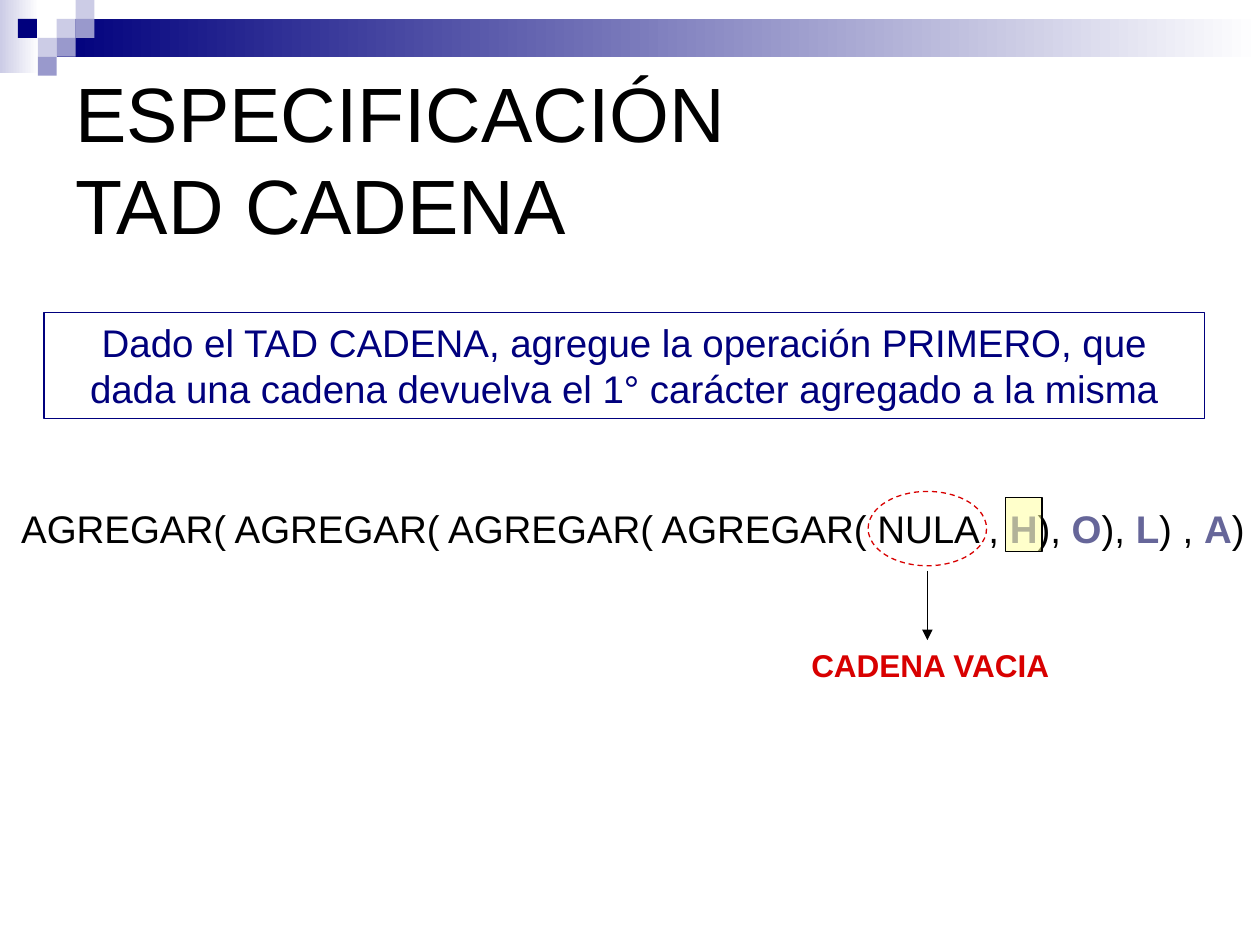
"""Build the slide that specifies the PRIMERO operation of the TAD CADENA."""
import dataclasses
from typing import Optional

import pptx
import pptx.dml.color
import pptx.enum.dml
import pptx.enum.shapes
import pptx.enum.text
import pptx.oxml.ns
import pptx.util
from lxml import etree

Inches = pptx.util.Inches
Shapes = pptx.enum.shapes.MSO_SHAPE
Align = pptx.enum.text.PP_ALIGN
AutoSize = pptx.enum.text.MSO_AUTO_SIZE

BLACK, WHITE, NAVY, RED = "000000", "FFFFFF", "00007D", "D80000"
PALE, LILAC, SLATE, YELLOW = "CCCCE6", "9999CC", "666699", "FFFF99"
TILE = 0.15


@dataclasses.dataclass
class Box:
    left: float
    top: float
    width: float
    height: float
    fill: Optional[str] = None
    fade_to: Optional[str] = None
    line: Optional[str] = None
    preset: Shapes = Shapes.RECTANGLE

    def place(self):
        return [Inches(n) for n in (self.left, self.top, self.width, self.height)]


@dataclasses.dataclass
class Span:
    text: str
    color: str = BLACK
    bold: bool = False


def rgb(color: str):
    return pptx.dml.color.RGBColor.from_string(color)


def draw_box(slide, box: Box):
    shape = slide.shapes.add_shape(box.preset, *box.place())
    shape.shadow.inherit = False
    if box.fade_to:
        shape.fill.gradient()
        shape.fill.gradient_angle = 0
        for stop, color in zip(shape.fill.gradient_stops, (box.fill, box.fade_to)):
            stop.color.rgb = rgb(color)
    elif box.fill:
        shape.fill.solid()
        shape.fill.fore_color.rgb = rgb(box.fill)
    else:
        shape.fill.background()
    if box.line:
        shape.line.color.rgb = rgb(box.line)
        shape.line.width = pptx.util.Pt(0.75)
    else:
        shape.line.fill.background()
    return shape


def write_text(shape, lines, *, size, align=Align.LEFT, wrap=True,
               anchor=pptx.enum.text.MSO_ANCHOR.TOP, auto_size=AutoSize.SHAPE_TO_FIT_TEXT):
    frame = shape.text_frame
    frame.word_wrap = wrap
    frame.auto_size = auto_size
    frame.vertical_anchor = anchor
    paragraph = frame.paragraphs[0]
    paragraph.alignment = align
    for index, spans in enumerate(lines):
        if index:
            paragraph.add_line_break()
        for span in spans:
            run = paragraph.add_run()
            run.text = span.text
            run.font.name = "Arial"
            run.font.size = pptx.util.Pt(size)
            run.font.bold = span.bold
            run.font.color.rgb = rgb(span.color)


def draw_arrow(slide, x: float, top: float, bottom: float):
    arrow = slide.shapes.add_connector(
        pptx.enum.shapes.MSO_CONNECTOR.STRAIGHT,
        Inches(x), Inches(top), Inches(x), Inches(bottom))
    arrow.line.color.rgb = rgb(BLACK)
    arrow.line.width = pptx.util.Pt(0.75)
    qn = pptx.oxml.ns.qn
    etree.SubElement(arrow.line._get_or_add_ln(), qn("a:tailEnd"), type="triangle")
    etree.SubElement(arrow._element.spPr, qn("a:effectLst"))


def draw_banner(slide):
    draw_box(slide, Box(0, 0, 0.31, 0.58, PALE, WHITE))
    draw_box(slide, Box(0.45, 0.15, 9.55, 0.3, NAVY, WHITE))
    tiles = [(3, 1, PALE), (4, 0, PALE), (4, 1, LILAC), (2, 2, PALE),
             (0.95, 1, NAVY), (3, 2, LILAC), (2, 3, LILAC)]
    for column, row, color in tiles:
        draw_box(slide, Box(column * TILE, row * TILE, TILE, TILE, color))


def draw_title(slide):
    title = slide.shapes.title
    title.left, title.top, title.width, title.height = Box(0.5, 0.5, 9, 1.5).place()
    write_text(title, [[Span("ESPECIFICACIÓN")], [Span("TAD CADENA")]], size=44,
               anchor=pptx.enum.text.MSO_ANCHOR.MIDDLE, auto_size=AutoSize.NONE)


def draw_task(slide):
    task = draw_box(slide, Box(0.35, 2.48, 9.21, 0.84, line=NAVY))
    statement = ("Dado el TAD CADENA, agregue la operación PRIMERO, que dada una "
                 "cadena devuelva el 1° carácter agregado a la misma")
    write_text(task, [[Span(statement, NAVY)]], size=22, align=Align.CENTER)


def draw_expression(slide):
    letters = [("H", "), "), ("O", "), "), ("L", ") , "), ("A", ")")]
    spans = [Span("AGREGAR( " * len(letters) + "NULA , ")]
    for letter, closing in letters:
        spans += [Span(letter, SLATE, True), Span(closing)]
    expression = slide.shapes.add_textbox(*Box(0.07, 3.96, 9.96, 0.47).place())
    write_text(expression, [spans], size=22)

    first_letter = draw_box(slide, Box(7.98, 3.95, 0.29, 0.43, YELLOW, line=BLACK))
    tint = first_letter.fill._xPr.find(".//" + pptx.oxml.ns.qn("a:srgbClr"))
    etree.SubElement(tint, pptx.oxml.ns.qn("a:alpha"), val="50000")

    empty_string = draw_box(slide, Box(6.89, 3.9, 0.94, 0.59, line=RED, preset=Shapes.OVAL))
    empty_string.line.dash_style = pptx.enum.dml.MSO_LINE.DASH
    draw_arrow(slide, 7.36, 4.53, 5.08)
    meaning = slide.shapes.add_textbox(*Box(6.34, 5.08, 2.12, 0.4).place())
    write_text(meaning, [[Span("CADENA VACIA", RED, True)]], size=18, wrap=False)


def main():
    deck = pptx.Presentation()
    deck.slide_width, deck.slide_height = Inches(10), Inches(7.5)
    slide = deck.slides.add_slide(deck.slide_layouts.get_by_name("Title Only"))
    draw_banner(slide)
    draw_title(slide)
    draw_task(slide)
    draw_expression(slide)
    deck.save("out.pptx")


if __name__ == "__main__":
    main()
